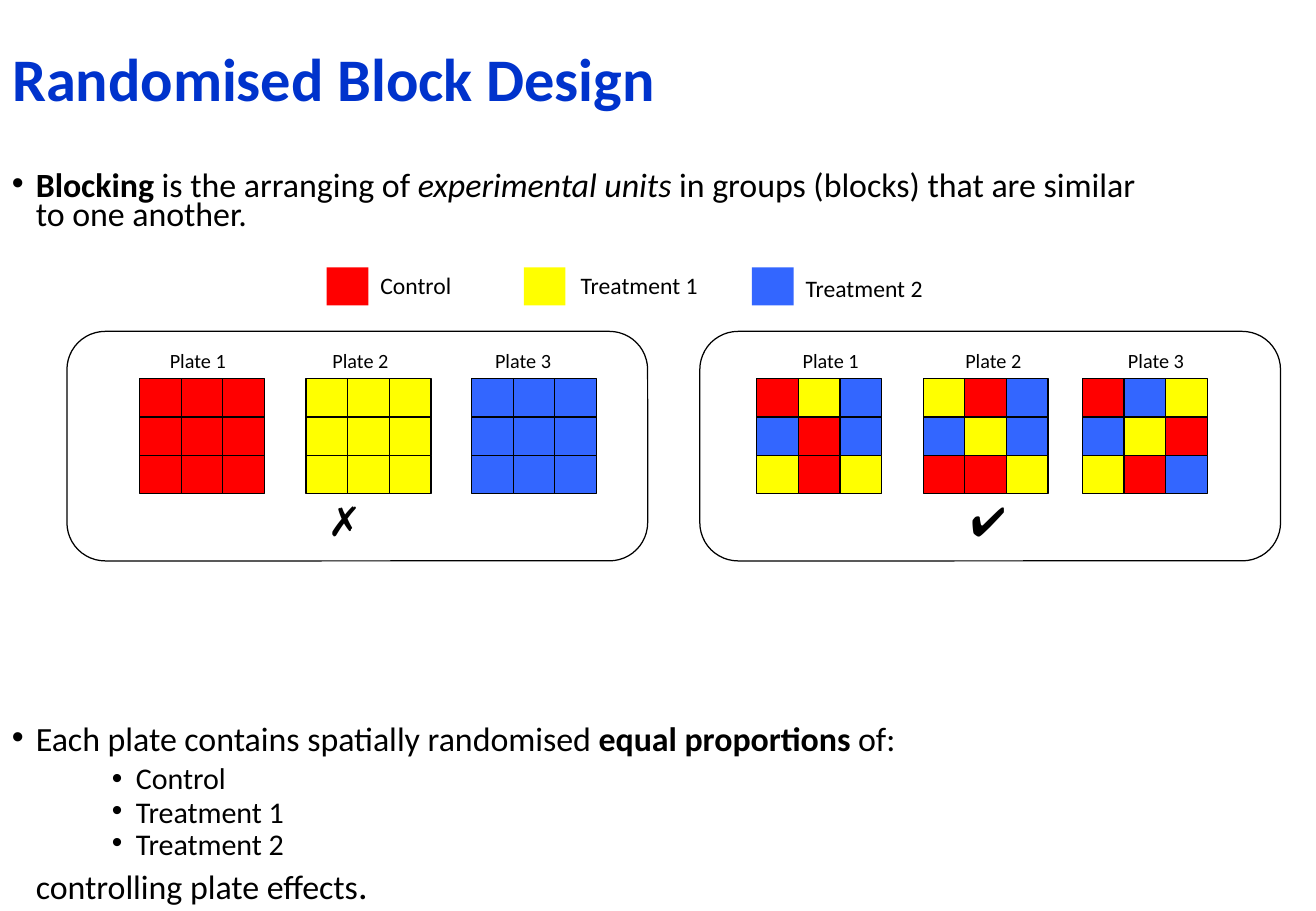
from pptx import Presentation
from pptx import util as u
from pptx.dml.color import RGBColor
from pptx.enum import shapes, text
from pptx.oxml import parse_xml
from pptx.oxml.ns import nsdecls

COLORS = {
    "title": "0033CC",
    "text": "000000",
    "control": "FF0000",
    "treatment1": "FFFF00",
    "treatment2": "3366FF",
}
CELL_FILLS = {"C": "control", "1": "treatment1", "2": "treatment2"}


def set_all(obj, values):
    for name, value in values.items():
        setattr(obj, name, value)


def rgb(name):
    return RGBColor.from_string(COLORS[name])


class Deck:
    font = "Calibri"
    line_width = u.Pt(0.75)

    def __init__(self, width, height):
        self.prs = Presentation()
        set_all(self.prs, {"slide_width": u.Cm(width), "slide_height": u.Cm(height)})

    def add_slide(self):
        self.slide = self.prs.slides.add_slide(self.prs.slide_layouts[5])

    def run(self, p, content, size, color="text", **fmt):
        r = p.add_run()
        r.text = content
        set_all(r.font, {"name": self.font, "size": u.Pt(size), **fmt})
        r.font.color.rgb = rgb(color)

    def title(self, content, x, y, w, h):
        sp = self.slide.shapes.title
        set_all(sp, {"left": u.Cm(x), "top": u.Cm(y), "width": u.Cm(w), "height": u.Cm(h)})
        tf = sp.text_frame
        set_all(tf, {"auto_size": text.MSO_AUTO_SIZE.NONE, "word_wrap": True,
                     "vertical_anchor": text.MSO_ANCHOR.MIDDLE})
        p = tf.paragraphs[0]
        set_all(p, {"alignment": text.PP_ALIGN.LEFT, "line_spacing": 0.9})
        self.run(p, content, 35.8, "title", bold=True)

    def textbox(self, x, y, w, h, wrap):
        sp = self.slide.shapes.add_textbox(u.Cm(x), u.Cm(y), u.Cm(w), u.Cm(h))
        sp.text_frame.word_wrap = wrap
        return sp.text_frame

    def label(self, content, x, y, w, h, size, **fmt):
        tf = self.textbox(x, y, w, h, False)
        self.run(tf.paragraphs[0], content, size, **fmt)

    def body(self, x, y, w, h, paragraphs):
        tf = self.textbox(x, y, w, h, True)
        for i, (runs, margin, bullet, size, spacing, before) in enumerate(paragraphs):
            p = tf.add_paragraph() if i else tf.paragraphs[0]
            set_all(p, {"line_spacing": spacing, "space_before": u.Pt(before)})
            pPr = p._p.get_or_add_pPr()
            pPr.set("marL", str(u.Cm(margin)))
            if bullet:
                pPr.set("indent", str(-u.Cm(0.5)))
                pPr.append(parse_xml(f'<a:buFont {nsdecls("a")} typeface="Arial"/>'))
                pPr.append(parse_xml(f'<a:buChar {nsdecls("a")} char="•"/>'))
            for content, fmt in runs:
                self.run(p, content, **{"size": size, **fmt})

    def box(self, kind, x, y, w, h, fill=None, outline=True, parent=None):
        sp = (parent or self.slide).shapes.add_shape(kind, u.Cm(x), u.Cm(y), u.Cm(w), u.Cm(h))
        sp.shadow.inherit = False
        if fill:
            sp.fill.solid()
            sp.fill.fore_color.rgb = rgb(fill)
        else:
            sp.fill.background()
        if outline:
            sp.line.color.rgb = rgb("text")
            sp.line.width = self.line_width
        else:
            sp.line.fill.background()

    def plate(self, x, y, rows, w=0.87, h=0.8):
        group = self.slide.shapes.add_group_shape()
        for i, row in enumerate(rows):
            for j, code in enumerate(row):
                self.box(shapes.MSO_SHAPE.RECTANGLE, x + j * w, y + i * h, w, h,
                         CELL_FILLS[code], parent=group)

    def panel(self, x, plate_lefts, plates, mark, mark_x):
        self.box(shapes.MSO_SHAPE.ROUNDED_RECTANGLE, x, 6.93, 12.14, 4.8)
        for i, (left, rows) in enumerate(zip(plate_lefts, plates)):
            self.plate(left, 7.92, rows)
            self.label(f"Plate {i + 1}", x + 1.9 + 3.4 * i, 7.15, 1.7, 0.76, 12)
        self.label(mark, mark_x, 10.24, 1.1, 1.27, 24, name="Arial")


deck = Deck(27.51, 19.05)
deck.add_slide()
deck.title("Randomised Block Design", 0, 0.13, 23.39, 3.18)

deck.body(0, 3.53, 24.59, 1.5, [
    ([("Blocking", {"bold": True}),
      (" is the arranging of ", {}),
      ("experimental units ", {"italic": True}),
      ("in groups (blocks) that are similar to one another.", {})],
     0.5, True, 20.1, 0.7, 8.1),
])

legend = [
    ("Control", "control", 6.83, 7.7, 5.54),
    ("Treatment 1", "treatment1", 10.95, 11.89, 5.54),
    ("Treatment 2", "treatment2", 15.72, 16.59, 5.6),
]
for name, fill, swatch_x, label_x, label_y in legend:
    deck.box(shapes.MSO_SHAPE.RECTANGLE, swatch_x, 5.59, 0.87, 0.8, fill, outline=False)
    deck.label(name, label_x, label_y, 0.7 + 0.21 * len(name), 0.86, 14)

deck.panel(1.4, (2.92, 6.4, 9.86), [[code * 3] * 3 for code in "C12"], "✗", 6.6)
deck.panel(14.63, (15.82, 19.3, 22.63),
           [["C12", "2C2", "1C1"], ["1C2", "212", "CC1"], ["C21", "21C", "1C2"]],
           "✔", 20.04)

groups = [("Control", 0.9), ("Treatment 1", 0.7), ("Treatment 2", 0.7)]
deck.body(0, 15.11, 24.59, 3.6, [
    ([("Each plate contains spatially randomised ", {}),
      ("equal proportions", {"bold": True}),
      (" of:", {})], 0.5, True, 20.1, 0.7, 8.1),
    *[([(name, {})], 2.59, True, 17.8, spacing, 4.1) for name, spacing in groups],
    ([("controlling plate effects", {}), (".", {"size": 22.5})],
     0.5, False, 20.1, 0.7, 8.1),
])

deck.prs.save("out.pptx")
